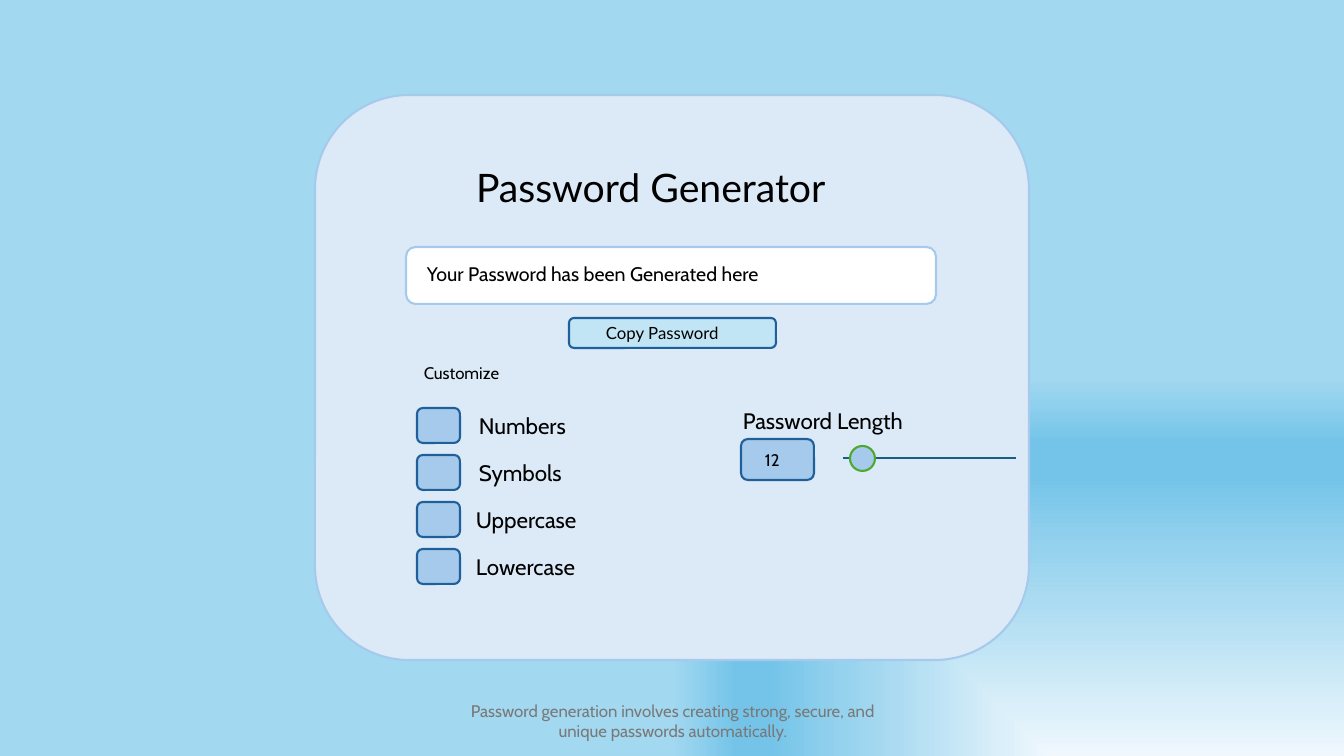
from dataclasses import dataclass

from lxml.etree import SubElement
from pptx import Presentation
from pptx.dml.color import RGBColor
from pptx.enum.shapes import MSO_CONNECTOR, MSO_SHAPE
from pptx.enum.text import MSO_ANCHOR, PP_ALIGN
from pptx.oxml import parse_xml
from pptx.oxml.ns import qn
from pptx.slide import Slide
from pptx.shapes.autoshape import Shape
from pptx.util import Emu, Pt

SLIDE_WIDTH, SLIDE_HEIGHT = 1344, 756
EMU_PER_PX = 12192000 / SLIDE_WIDTH

NAVY, PALE_BLUE, MID_BLUE = "215F9A", "DCEAF7", "A6CAEC"
GLOW_STOPS = [(0, "F0F8FD"), (13, "DAEFF9"), (33, "B9E1F4"), (41, "ABDBF2"),
              (55, "95D2EE"), (74, "74C4E9"), (83, "74C4E9"), (100, "A2D8F0")]


@dataclass
class Panel:
    left: int
    top: int
    width: int
    height: int
    fill: str = MID_BLUE
    border: str = NAVY
    outline: MSO_SHAPE = MSO_SHAPE.ROUNDED_RECTANGLE


@dataclass
class Label:
    text: str
    left: int
    top: int
    width: int
    height: int
    size: int
    font: str = "Cabin"
    color: str = "000000"
    anchor: MSO_ANCHOR = MSO_ANCHOR.TOP
    align: PP_ALIGN = PP_ALIGN.LEFT


CARD = Panel(315, 95, 714, 565, PALE_BLUE, MID_BLUE)
TITLE = Label("Password Generator", 466, 158, 413, 57, 28, "Lato")

CONTROLS = [
    Panel(406, 247, 530, 57, "FFFFFF", MID_BLUE),
    Panel(569, 318, 207, 30, "C1E5F5"),
    Panel(741, 439, 73, 41),
]
SLIDER_KNOB = Panel(850, 446, 25, 25, border="4EA72E", outline=MSO_SHAPE.OVAL)

CAPTIONS = [
    Label("Your Password has been Generated here", 417, 257, 394, 34, 14),
    Label("Copy Password", 596, 318, 151, 30, 12, "Lato"),
    Label("Customize", 414, 348, 102, 40, 12, anchor=MSO_ANCHOR.BOTTOM),
    Label("Password Length", 733, 389, 190, 50, 16, anchor=MSO_ANCHOR.BOTTOM),
    Label("12", 755, 445, 44, 30, 12),
    Label("Password generation involves creating strong, secure, and unique "
          "passwords automatically.", 446, 701, 454, 40, 12, color="797979",
          anchor=MSO_ANCHOR.MIDDLE, align=PP_ALIGN.CENTER),
]

OPTIONS = [("Numbers", 469), ("Symbols", 469), ("Uppercase", 466), ("Lowercase", 466)]
OPTION_TOP, OPTION_PITCH = 408, 47


def px(length: int) -> Emu:
    return Emu(round(length * EMU_PER_PX))


def rgb(color: str) -> RGBColor:
    return RGBColor.from_string(color)


def paint_background(slide: Slide) -> None:
    """Fill the background with a rectangular glow from the lower right corner."""
    fill = slide.background.fill
    fill.solid()
    gradient = parse_xml(
        '<a:gradFill xmlns:a="http://schemas.openxmlformats.org/drawingml/2006/main"'
        ' rotWithShape="1"><a:gsLst/><a:path path="rect">'
        '<a:fillToRect l="100000" t="100000"/></a:path>'
        '<a:tileRect r="-100000" b="-100000"/></a:gradFill>')
    stops = gradient.find(qn("a:gsLst"))
    for percent, color in GLOW_STOPS:
        stop = SubElement(stops, qn("a:gs"), pos=str(percent * 1000))
        SubElement(stop, qn("a:srgbClr"), val=color)
    solid = next(slide.element.iter(qn("a:solidFill")))
    solid.getparent().replace(solid, gradient)


def draw_panel(slide: Slide, panel: Panel) -> Shape:
    shape = slide.shapes.add_shape(panel.outline, px(panel.left), px(panel.top),
                                   px(panel.width), px(panel.height))
    shape.shadow.inherit = False
    shape.fill.solid()
    shape.fill.fore_color.rgb = rgb(panel.fill)
    shape.line.color.rgb = rgb(panel.border)
    shape.line.width = Pt(1.5)
    return shape


def write_label(holder: Shape, label: Label) -> None:
    """Place a text holder and give it the label's text and format."""
    holder.left, holder.top = px(label.left), px(label.top)
    holder.width, holder.height = px(label.width), px(label.height)
    frame = holder.text_frame
    frame.word_wrap = True
    frame.vertical_anchor = label.anchor
    frame.text = label.text
    paragraph = frame.paragraphs[0]
    paragraph.alignment = label.align
    font = paragraph.runs[0].font
    font.name, font.size = label.font, Pt(label.size)
    font.color.rgb = rgb(label.color)


def draw_label(slide: Slide, label: Label) -> None:
    write_label(slide.shapes.add_textbox(0, 0, 0, 0), label)


def draw_slider(slide: Slide) -> None:
    track = slide.shapes.add_connector(MSO_CONNECTOR.STRAIGHT, px(843), px(458),
                                       px(1016), px(458))
    track.line.color.rgb = rgb("156082")
    track.line.width = Pt(1.5)
    SubElement(track.element.spPr, qn("a:effectLst"))
    draw_panel(slide, SLIDER_KNOB)


def main() -> None:
    presentation = Presentation()
    presentation.slide_width = px(SLIDE_WIDTH)
    presentation.slide_height = px(SLIDE_HEIGHT)
    slide = presentation.slides.add_slide(presentation.slide_layouts[5])
    paint_background(slide)

    card = draw_panel(slide, CARD)
    title = slide.shapes.title
    write_label(title, TITLE)
    card.element.addnext(title.element)

    for control in CONTROLS:
        draw_panel(slide, control)
    draw_slider(slide)
    for caption in CAPTIONS:
        draw_label(slide, caption)
    for row, (option, left) in enumerate(OPTIONS):
        top = OPTION_TOP + row * OPTION_PITCH
        draw_panel(slide, Panel(417, top, 43, 35))
        draw_label(slide, Label(option, left, top - 1, 129, 37, 16))

    presentation.save("out.pptx")


if __name__ == "__main__":
    main()
